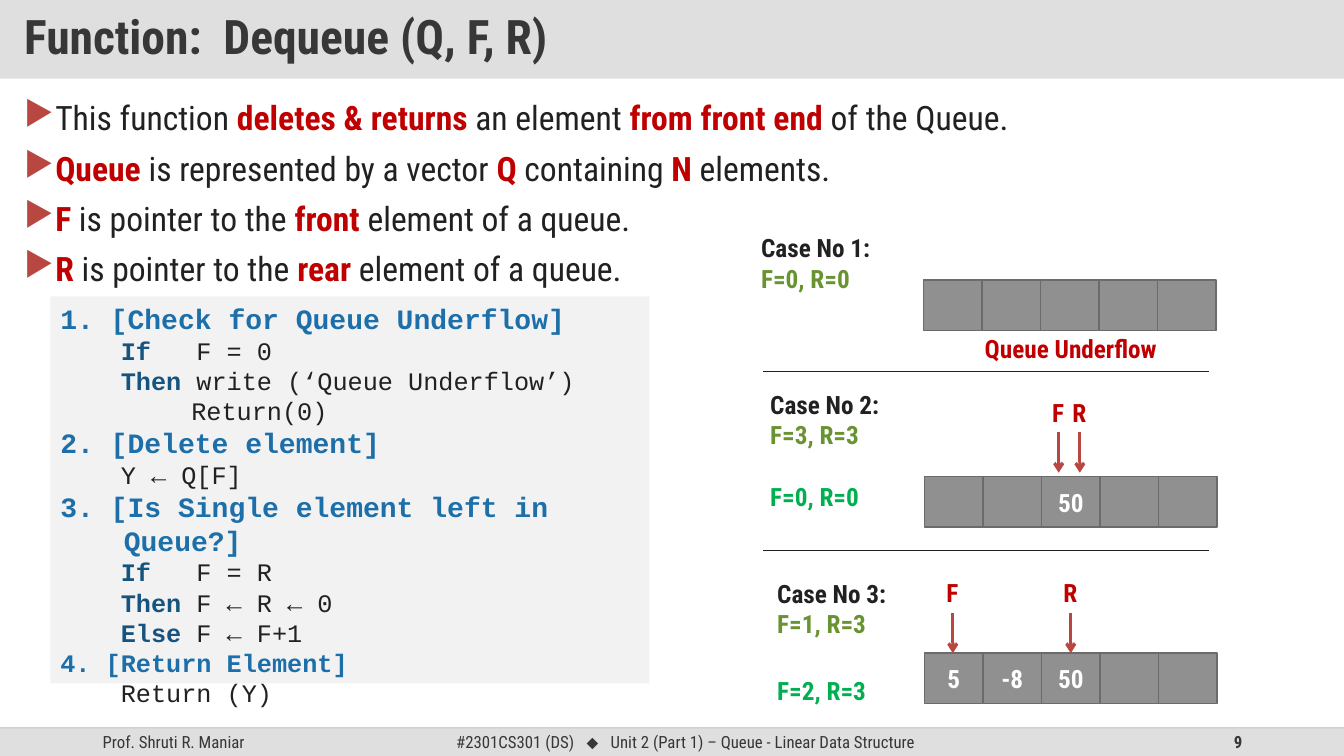
from dataclasses import dataclass

from lxml.etree import SubElement
from pptx import Presentation
from pptx.dml.color import RGBColor
from pptx.enum.shapes import MSO_CONNECTOR as Connector, MSO_SHAPE as Shape
from pptx.enum.text import MSO_ANCHOR as Anchor, PP_ALIGN as Align
from pptx.oxml.ns import qn
from pptx.util import Pt

PX = 9144  # 100 px to the inch
WIDTH, HEIGHT = 1333, 750
SANS, MONO = "Roboto Condensed", "Courier New"

WHITE = RGBColor(0xFF, 0xFF, 0xFF)
BAND = RGBColor(0xC0, 0xC0, 0xC0)
FOOTER_FILL = RGBColor(0xDF, 0xDF, 0xDF)
FOOTER_RULE = RGBColor(0xBF, 0xBF, 0xBF)
HEADING = RGBColor(0x37, 0x37, 0x37)
INK = RGBColor(0x21, 0x21, 0x21)
RED = RGBColor(0xC0, 0x00, 0x00)
ARROW = RGBColor(0xB8, 0x47, 0x42)
CODE_FILL = RGBColor(0xF2, 0xF2, 0xF2)
STEP = RGBColor(0x1D, 0x6F, 0xA9)
KEYWORD = RGBColor(0x16, 0x53, 0x7F)
CELL_FILL = RGBColor(0x90, 0x90, 0x90)
CELL_EDGE = RGBColor(0x6B, 0x6B, 0x6B)
BEFORE = RGBColor(0x69, 0x93, 0x31)
AFTER = RGBColor(0x00, 0xB0, 0x50)


@dataclass
class Span:
    text: str
    color: RGBColor = INK
    bold: bool = False
    font: str = ""
    spacing: int = 0  # extra letter spacing, in 1/100 pt


@dataclass
class Line:
    spans: list[Span]
    size: int = 18
    font: str = SANS
    align: Align = Align.LEFT
    left: int = 0
    hanging: int = 0
    bullet: str = ""
    before: int = 0
    leading: float = 1.0


@dataclass
class Pointer:
    name: str
    x: int


@dataclass
class Case:
    title: str
    before: str
    after: str
    label: tuple[int, int]
    after_top: int
    queue: tuple[int, int]
    cells: list[str]
    pointers: list[Pointer]
    pointer_top: int = 0


presentation = Presentation()
presentation.slide_width, presentation.slide_height = WIDTH * PX, HEIGHT * PX
slide = presentation.slides.add_slide(presentation.slide_layouts[6])


def set_alpha(fill_parent, percent: int) -> None:
    color = next(fill_parent.iter(qn("a:srgbClr")))
    SubElement(color, qn("a:alpha"), val=str(percent * 1000))


def write(shape, lines: list[Line], anchor=Anchor.TOP, inset: tuple[int, int] = (10, 5)) -> None:
    frame = shape.text_frame
    frame.word_wrap, frame.vertical_anchor = True, anchor
    frame.margin_left = frame.margin_right = inset[0] * PX
    frame.margin_top = frame.margin_bottom = inset[1] * PX
    for index, line in enumerate(lines):
        paragraph = frame.add_paragraph() if index else frame.paragraphs[0]
        paragraph.alignment = line.align
        paragraph.line_spacing, paragraph.space_before = line.leading, Pt(line.before)
        properties = paragraph._p.get_or_add_pPr()
        properties.set("marL", str(line.left * PX))
        properties.set("indent", str(-line.hanging * PX))
        if line.bullet:
            bullet_color = SubElement(properties, qn("a:buClr"))
            SubElement(bullet_color, qn("a:srgbClr"), val=str(ARROW))
            SubElement(properties, qn("a:buChar"), char=line.bullet)
        for span in line.spans:
            run = paragraph.add_run()
            run.text = span.text
            run.font.bold, run.font.color.rgb = span.bold, span.color
            run.font.name, run.font.size = span.font or line.font, Pt(line.size)
            if span.spacing:
                run.font._element.set("spc", str(span.spacing))
        paragraph.font.name, paragraph.font.size = line.font, Pt(line.size)


def text_box(x: int, y: int, width: int, height: int, lines: list[Line], **options) -> None:
    shape = slide.shapes.add_textbox(x * PX, y * PX, width * PX, height * PX)
    write(shape, lines, **options)


def rectangle(x: int, y: int, width: int, height: int, fill: RGBColor, edge: RGBColor | None = None):
    shape = slide.shapes.add_shape(Shape.RECTANGLE, x * PX, y * PX, width * PX, height * PX)
    shape.shadow.inherit = False
    shape.fill.solid()
    shape.fill.fore_color.rgb = fill
    if edge is None:
        shape.line.fill.background()
    else:
        shape.line.color.rgb, shape.line.width = edge, Pt(1)
    return shape


def connect(x1: int, y1: int, x2: int, y2: int, color: RGBColor, width: float, arrow: bool = False):
    line = slide.shapes.add_connector(Connector.STRAIGHT, x1 * PX, y1 * PX, x2 * PX, y2 * PX)
    line.line.color.rgb, line.line.width = color, Pt(width)
    if arrow:
        SubElement(line.line._get_or_add_ln(), qn("a:tailEnd"), type="arrow")
    SubElement(line._element.spPr, qn("a:effectLst"))
    return line


def bold_line(text: str, color: RGBColor, align=Align.LEFT) -> Line:
    return Line([Span(text, color, True)], align=align)


def draw_case(case: Case) -> None:
    x, y = case.label
    text_box(x, y, 145, 71, [bold_line(case.title, INK), bold_line(case.before, BEFORE)])
    if case.after:
        text_box(x, case.after_top, 125, 40, [bold_line(case.after, AFTER)])
    left, top = case.queue
    for index, value in enumerate(case.cells):
        cell = rectangle(left + index * 58, top, 58, 50, CELL_FILL, CELL_EDGE)
        if value:
            write(cell, [bold_line(value, WHITE, Align.CENTER)], anchor=Anchor.MIDDLE)
    for pointer in case.pointers:
        text_box(pointer.x - 13, case.pointer_top, 25, 40,
                 [bold_line(pointer.name, RED, Align.CENTER)], inset=(0, 5))
        connect(pointer.x, case.pointer_top + 40, pointer.x, case.pointer_top + 80, ARROW, 2.25, arrow=True)


# Footer
rectangle(0, 722, WIDTH, 28, FOOTER_FILL)
wide_space = Span(" ", HEADING, spacing=600)
footer = [
    (92, 300, Align.LEFT, [Span("Prof. Shruti R. Maniar", HEADING)]),
    (442, 476, Align.CENTER, [
        Span("#2301CS301 (DS)", HEADING), wide_space, Span("⬥", HEADING, font="Arial"), wide_space,
        Span("Unit 2 (Part 1) – Queue - Linear Data Structure", HEADING)]),
    (942, 300, Align.RIGHT, [Span("9", HEADING, True)]),
]
for x, width, align, spans in footer:
    text_box(x, 722, width, 28, [Line(spans, 12, align=align)], anchor=Anchor.MIDDLE)
set_alpha(connect(0, 722, WIDTH, 722, FOOTER_RULE, 1)._element.spPr, 70)

# Title band
band = rectangle(0, 0, WIDTH, 78, BAND)
set_alpha(band._element.spPr, 50)
write(band, [Line([Span("Function:  Dequeue (Q, F, R)", HEADING, True)], 34, leading=0.9)],
      anchor=Anchor.MIDDLE, inset=(24, 12))

# Bullets: emphasised pieces stand between asterisks
bullets = [
    "This function *deletes & returns *an element *from front end *of the Queue.",
    "*Queue *is represented by a vector *Q* containing *N* elements.",
    "*F* is pointer to the *front *element of a queue.",
    "*R* is pointer to the *rear *element of a queue.",
]
bullet_lines = []
for bullet in bullets:
    spans = [Span(piece, RED if index % 2 else INK, bool(index % 2))
             for index, piece in enumerate(bullet.split("*")) if piece]
    bullet_lines.append(Line(spans, 24, align=Align.JUSTIFY, left=29, hanging=29,
                             bullet="▶", before=10, leading=0.9))
text_box(14, 96, 1305, 611, bullet_lines)


# Algorithm
def step(text: str, size: int = 20) -> Line:
    return Line([Span(text, STEP, True)], size, MONO, left=63, hanging=63)


def code(keyword: str, text: str, left: int = 60, gap: int = 0) -> Line:
    head = [Span(keyword, KEYWORD, True), Span(" ", spacing=gap)] if keyword else []
    return Line([*head, Span(text)], font=MONO, left=left)


IF_GAP = 2160  # lines the condition up with the text after Then
write(rectangle(50, 294, 594, 384, CODE_FILL), [
    step("1. [Check for Queue Underflow]"),
    code("If", "F = 0", gap=IF_GAP),
    code("Then", "write (‘Queue Underflow’)"),
    code("", "Return(0)", left=130),
    step("2. [Delete element]"),
    code("", "Y ← Q[F]"),
    step("3. [Is Single element left in Queue?]"),
    code("If", "F = R", gap=IF_GAP),
    code("Then", "F ← R ← 0"),
    code("Else", "F ← F+1"),
    step("4. [Return Element]", 18),
    code("", "Return (Y)"),
])

# Cases
cases = [
    Case("Case No 1:", "F=0, R=0", "", (745, 226), 0, (916, 278), [""] * 5, []),
    Case("Case No 2:", "F=3, R=3", "F=0, R=0", (754, 381), 473, (917, 473),
         ["", "", "50", "", ""], [Pointer("F", 1050), Pointer("R", 1071)], 389),
    Case("Case No 3:", "F=1, R=3", "F=2, R=3", (761, 569), 665, (917, 648),
         ["5", "-8", "50", "", ""], [Pointer("F", 945), Pointer("R", 1062)], 568),
]
for case in cases:
    draw_case(case)
text_box(917, 326, 290, 40, [bold_line("Queue Underflow", RED, Align.CENTER)])
for divider_y in (368, 546):
    connect(757, divider_y, 1199, divider_y, INK, 0.5)

presentation.save("out.pptx")
